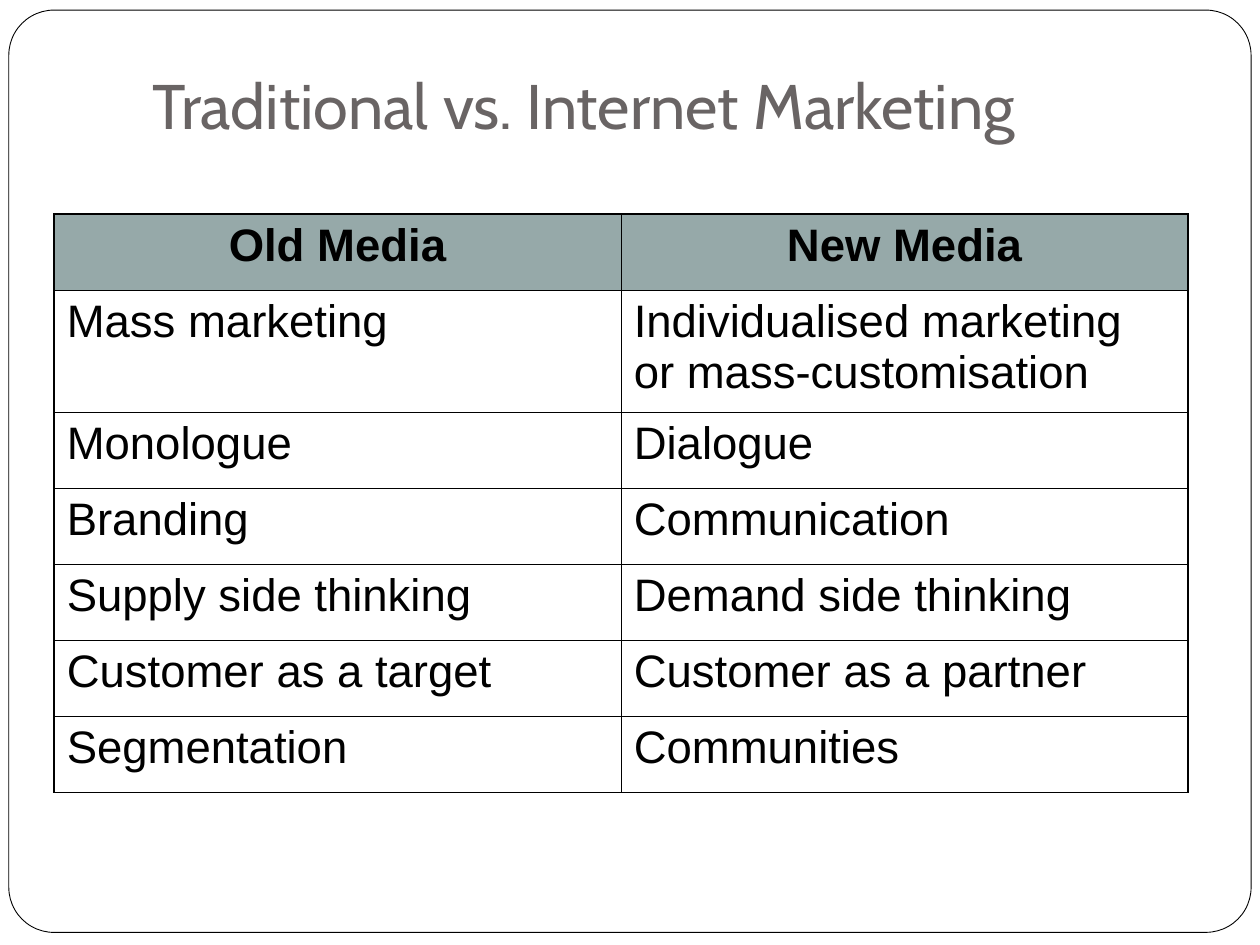
from dataclasses import dataclass
from typing import Any

from lxml import etree
from pptx import Presentation
from pptx.dml.color import RGBColor
from pptx.enum.shapes import MSO_SHAPE
from pptx.enum.text import MSO_ANCHOR, MSO_AUTO_SIZE, PP_ALIGN
from pptx.oxml.ns import qn
from pptx.util import Inches, Pt

ROUNDED = MSO_SHAPE.ROUNDED_RECTANGLE
BOTTOM, TOP = MSO_ANCHOR.BOTTOM, MSO_ANCHOR.TOP
NO_AUTOFIT = MSO_AUTO_SIZE.NONE
LEFT, CENTER = PP_ALIGN.LEFT, PP_ALIGN.CENTER
TITLE_ONLY_LAYOUT = 5


@dataclass(frozen=True)
class Theme:
    title_font: str = "Cabin"
    body_font: str = "Arial"
    title_size: float = 36
    body_size: float = 26
    title_color: str = "696464"
    ink: str = "000000"
    paper: str = "FFFFFF"
    header_fill: str = "96A9A9"
    inner_line: float = 0.45
    outer_line: float = 1.08


@dataclass(frozen=True)
class Box:
    left: float
    top: float
    width: float
    height: float

    def lengths(self) -> list[int]:
        return [Inches(value) for value in (self.left, self.top, self.width, self.height)]


@dataclass(frozen=True)
class Comparison:
    old: str
    new: str


THEME = Theme()
FRAME_BOX = Box(0.07, 0.08, 9.86, 7.32)
TITLE_BOX = Box(0.51, 0.36, 8.25, 0.87)
TABLE_BOX = Box(0.43, 1.7, 9, 4.59)
TALL_ROW, TALL_HEIGHT = 1, 0.97
COMPARISONS = [
    Comparison("Old Media", "New Media"),
    Comparison("Mass marketing", "Individualised marketing or mass-customisation"),
    Comparison("Monologue", "Dialogue"),
    Comparison("Branding", "Communication"),
    Comparison("Supply side thinking", "Demand side thinking"),
    Comparison("Customer as a target", "Customer as a partner"),
    Comparison("Segmentation", "Communities"),
]


def apply_format(target: Any, values: dict[str, Any]) -> None:
    for name, value in values.items():
        setattr(target, name, value)


def write_text(text_frame: Any, text: str, alignment: Any, font: dict[str, Any], color: str) -> None:
    paragraph = text_frame.paragraphs[0]
    paragraph.alignment = alignment
    run = paragraph.add_run()
    run.text = text
    apply_format(run.font, font)
    run.font.color.rgb = RGBColor.from_string(color)


def add_frame(slide: Any) -> None:
    frame = slide.shapes.add_shape(ROUNDED, *FRAME_BOX.lengths())
    frame.adjustments[0] = 0.049
    frame.shadow.inherit = False
    frame.fill.solid()
    frame.fill.fore_color.rgb = RGBColor.from_string(THEME.paper)
    frame.line.color.rgb = RGBColor.from_string(THEME.ink)
    frame.line.width = Pt(0.5)
    # Send the frame behind the title
    slide.shapes.title.element.addprevious(frame.element)


def fill_title(slide: Any) -> None:
    title = slide.shapes.title
    apply_format(title, dict(zip(("left", "top", "width", "height"), TITLE_BOX.lengths())))
    apply_format(title.text_frame, {
        "margin_left": Inches(0.1), "margin_right": Inches(0.1),
        "margin_top": Inches(0.05), "margin_bottom": Inches(0.1),
        "vertical_anchor": BOTTOM, "word_wrap": True, "auto_size": NO_AUTOFIT,
    })
    font = {"name": THEME.title_font, "size": Pt(THEME.title_size), "bold": False}
    write_text(title.text_frame, "Traditional vs. Internet Marketing", CENTER, font, THEME.title_color)


def set_borders(cell: Any, outer_sides: dict[str, bool]) -> None:
    properties = cell._tc.get_or_add_tcPr()
    for side, is_outer in outer_sides.items():
        width = THEME.outer_line if is_outer else THEME.inner_line
        line = etree.SubElement(properties, qn(f"a:ln{side}"), w=str(Pt(width)))
        fill = etree.SubElement(line, qn("a:solidFill"))
        etree.SubElement(fill, qn("a:srgbClr"), val=THEME.ink)


def format_cell(cell: Any, text: str, is_header: bool, outer_sides: dict[str, bool]) -> None:
    apply_format(cell, {
        "margin_left": Inches(0.1), "margin_right": Inches(0.1),
        "margin_top": Inches(0.05), "margin_bottom": Inches(0.05),
        "vertical_anchor": TOP,
    })
    # Borders come before the fill in the cell properties
    set_borders(cell, outer_sides)
    if is_header:
        cell.fill.solid()
        cell.fill.fore_color.rgb = RGBColor.from_string(THEME.header_fill)
    else:
        cell.fill.background()
    font = {"name": THEME.body_font, "size": Pt(THEME.body_size), "bold": is_header}
    write_text(cell.text_frame, text, CENTER if is_header else LEFT, font, THEME.ink)


def add_comparison_table(slide: Any) -> None:
    row_count = len(COMPARISONS)
    table = slide.shapes.add_table(row_count, 2, *TABLE_BOX.lengths()).table
    apply_format(table, {"first_row": False, "horz_banding": False})
    for column in table.columns:
        column.width = Inches(TABLE_BOX.width / 2)
    plain_height = (TABLE_BOX.height - TALL_HEIGHT) / (row_count - 1)
    for row, comparison in enumerate(COMPARISONS):
        table.rows[row].height = Inches(TALL_HEIGHT if row == TALL_ROW else plain_height)
        for column, text in enumerate((comparison.old, comparison.new)):
            outer_sides = {"L": column == 0, "R": column == 1,
                           "T": row == 0, "B": row == row_count - 1}
            format_cell(table.cell(row, column), text, row == 0, outer_sides)


def main() -> None:
    presentation = Presentation()
    presentation.slide_width, presentation.slide_height = Inches(10), Inches(7.5)
    slide = presentation.slides.add_slide(presentation.slide_layouts[TITLE_ONLY_LAYOUT])
    add_frame(slide)
    fill_title(slide)
    add_comparison_table(slide)
    presentation.save("out.pptx")


if __name__ == "__main__":
    main()
